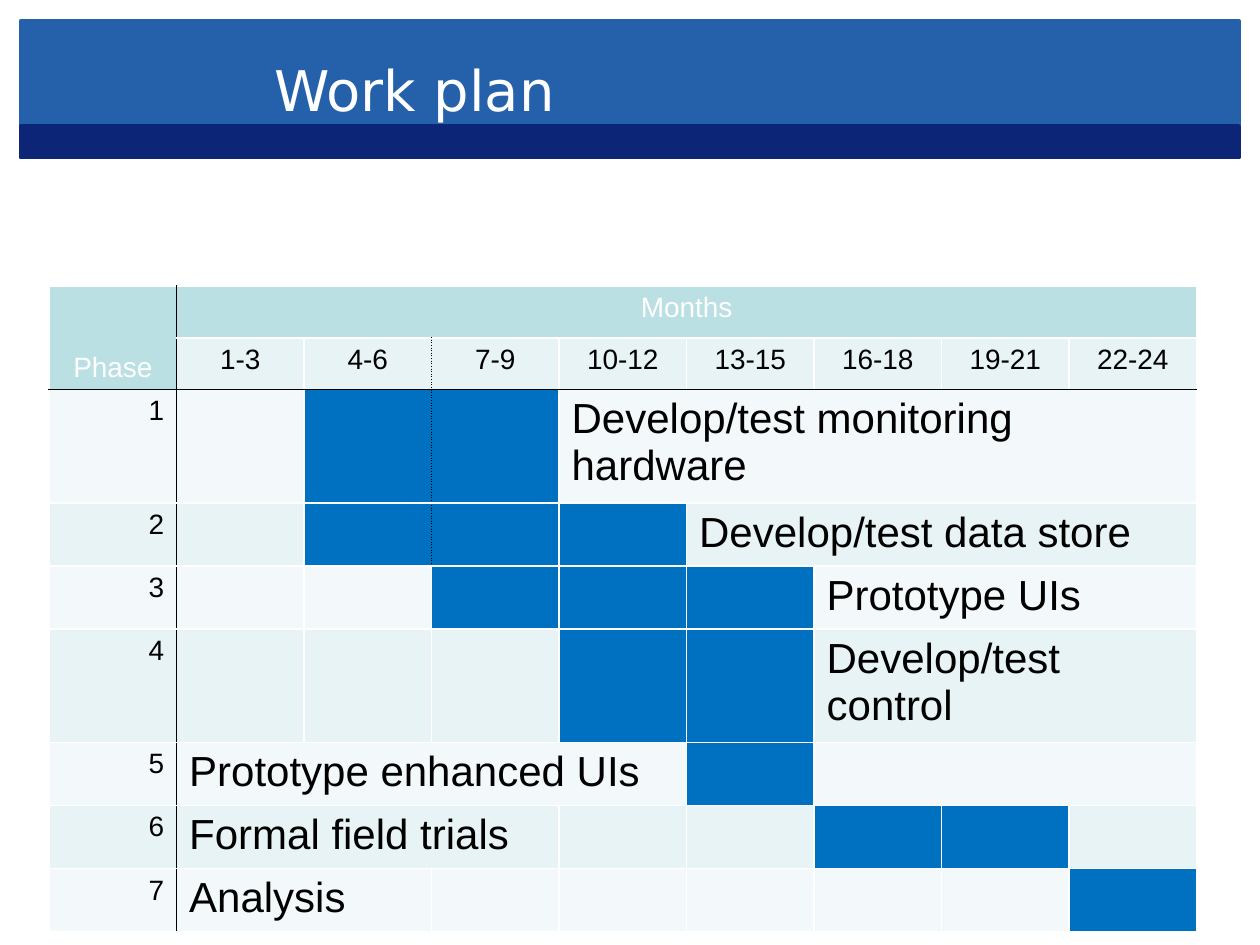
from lxml.etree import SubElement
from pptx import Presentation
from pptx.dml.color import RGBColor as RGB
from pptx.enum.shapes import MSO_SHAPE as Shape
from pptx.enum.text import MSO_ANCHOR as Anchor, PP_ALIGN as Align
from pptx.oxml.ns import qn
from pptx.util import Cm, Pt

HUES = {
    "band": "2461AA", "strip": "0C2577", "head": "BBE0E3", "even": "F3F9FA",
    "odd": "E7F3F4", "bar": "0070C0", "white": "FFFFFF", "black": "000000",
}


def write(frame, text, size, hue, align=Align.LEFT, font="Arial"):
    para = frame.paragraphs[0]
    para.alignment = align
    run = para.add_run()
    run.text = text
    run.font.size = Pt(size)
    run.font.name = font
    run.font.color.rgb = RGB.from_string(HUES[hue])


def edge(cell, side, hue, dash="solid"):
    """Draw one cell border; call in the order L, R, T, B, before the fill."""
    props = cell._tc.get_or_add_tcPr()
    line = SubElement(props, qn("a:ln" + side), w=str(Pt(1)))
    fill = SubElement(line, qn("a:solidFill"))
    SubElement(fill, qn("a:srgbClr"), val=HUES[hue])
    SubElement(line, qn("a:prstDash"), val=dash)


deck = Presentation()
deck.slide_width, deck.slide_height = Cm(25.4), Cm(19.05)
slide = deck.slides.add_slide(deck.slide_layouts[6])

# Title banner
for top, high, hue in [(0.42, 2.12, "band"), (2.54, 0.64, "strip")]:
    rect = slide.shapes.add_shape(
        Shape.RECTANGLE, Cm(0.42), Cm(top), Cm(24.56), Cm(high))
    rect.shadow.inherit = False
    rect.fill.solid()
    rect.fill.fore_color.rgb = RGB.from_string(HUES[hue])
    rect.line.color.rgb = RGB.from_string(HUES[hue])
    rect.line.width = Pt(2)

title = slide.shapes.add_textbox(Cm(5.28), Cm(0.42), Cm(19.69), Cm(2.75))
title.text_frame.word_wrap = True
title.text_frame.vertical_anchor = Anchor.MIDDLE
write(title.text_frame, "Work plan", 32, "white", font="DejaVu Sans")

# Each phase: label, its first column and span, columns of the bar
phases = [
    ("Develop/test monitoring hardware", 4, 5, (2, 3)),
    ("Develop/test data store", 5, 4, (2, 3, 4)),
    ("Prototype UIs", 6, 3, (3, 4, 5)),
    ("Develop/test control", 6, 3, (4, 5)),
    ("Prototype enhanced UIs", 1, 4, (5,)),
    ("Formal field trials", 1, 3, (6, 7)),
    ("Analysis", 1, 2, (8,)),
]
rows, cols = len(phases) + 2, 9
table = slide.shapes.add_table(
    rows, cols, Cm(0.99), Cm(5.77), Cm(23.13), Cm(9.25)).table
table.first_row = table.horz_banding = False
for col in table.columns:
    col.width = Cm(2.57)
for row in table.rows:
    row.height = Cm(1.04)
table.rows[6].height = Cm(0.76)

# Merged areas: (row, column) -> (rows, columns)
spans = {(0, 0): (2, 1), (0, 1): (1, 8), (6, 6): (1, 3)}
for r, (label, start, wide, bar) in enumerate(phases, 2):
    spans[r, start] = (1, wide)
for (r, c), (high, wide) in spans.items():
    table.cell(r, c).merge(table.cell(r + high - 1, c + wide - 1))

# Borders and fills
for r in range(rows):
    for c in range(cols):
        cell = table.cell(r, c)
        if cell.is_spanned:
            continue
        high, wide = spans.get((r, c), (1, 1))
        for side, x in (("L", c), ("R", c + wide)):
            dotted = x == 3 and r in (1, 2, 3)
            edge(cell, side, "black" if x == 1 or dotted else "white",
                 "sysDot" if dotted else "solid")
        for side, y in (("T", r), ("B", r + high)):
            edge(cell, side, "black" if y == 2 else "white")
        if r == 0:
            hue = "head"
        elif r > 1 and c in phases[r - 2][3]:
            hue = "bar"
        else:
            hue = "odd" if r % 2 else "even"
        cell.fill.solid()
        cell.fill.fore_color.rgb = RGB.from_string(HUES[hue])

# Wording
corner = table.cell(0, 0)
corner.vertical_anchor = Anchor.BOTTOM
write(corner.text_frame, "Phase", 16, "white", Align.CENTER)
write(table.cell(0, 1).text_frame, "Months", 16, "white", Align.CENTER)
for c in range(1, cols):
    write(table.cell(1, c).text_frame, f"{3 * c - 2}-{3 * c}", 16, "black",
          Align.CENTER)
for r, (label, start, wide, bar) in enumerate(phases, 2):
    write(table.cell(r, 0).text_frame, str(r - 1), 16, "black", Align.RIGHT)
    write(table.cell(r, start).text_frame, label, 24, "black")

deck.save("out.pptx")
